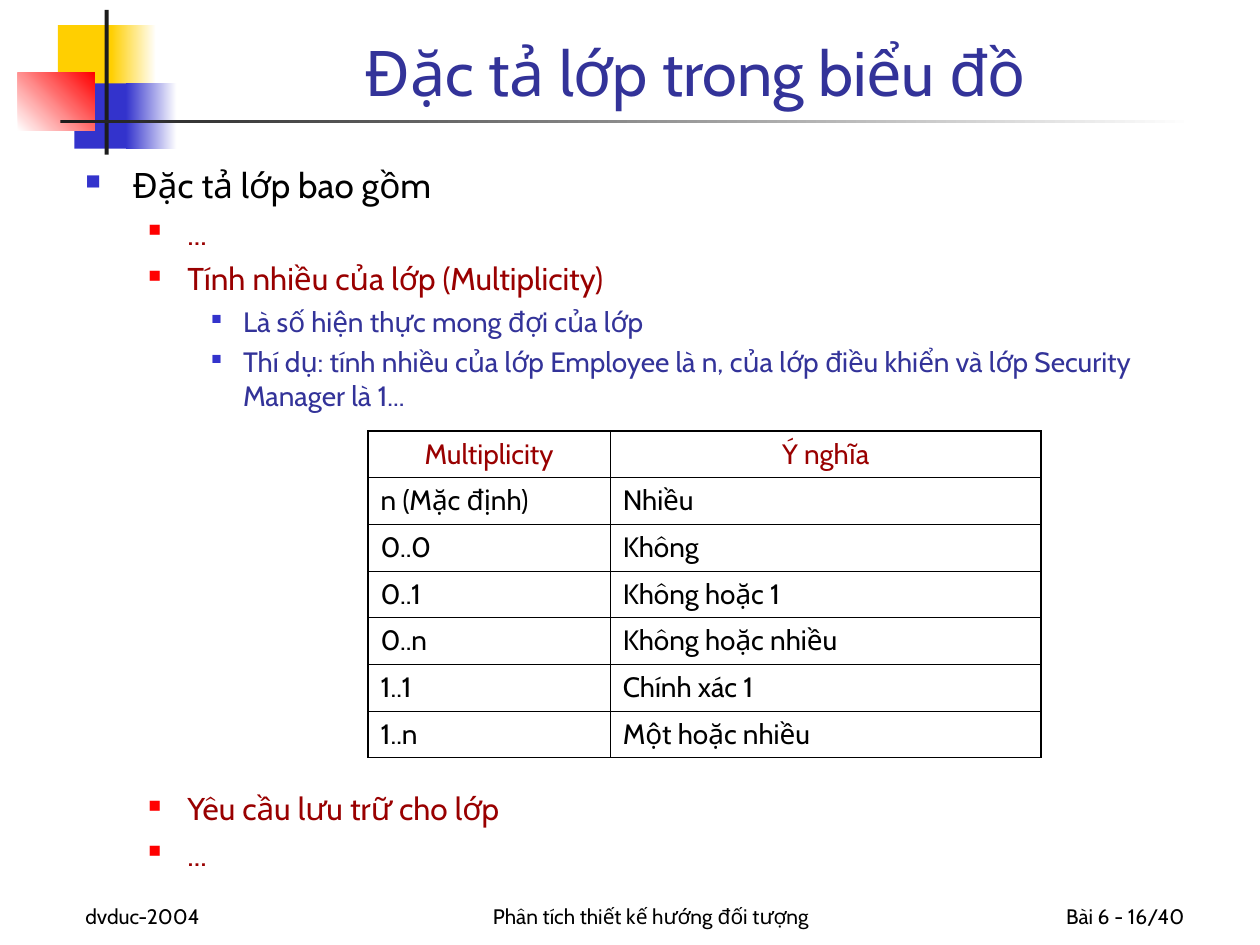
from dataclasses import dataclass
from typing import Any

from lxml import etree
from pptx import Presentation
from pptx import util as u
from pptx.dml.color import RGBColor
from pptx.enum import shapes, text
from pptx.oxml import ns

COLORS = {
    "white": "FFFFFF", "black": "000000", "charcoal": "1C1C1C",
    "yellow": "FFCF01", "blue": "3333CC", "red": "FF0000",
    "navy": "333399", "maroon": "990000",
}
LEFT, CENTER, RIGHT = text.PP_ALIGN.LEFT, text.PP_ALIGN.CENTER, text.PP_ALIGN.RIGHT
TOP, BOTTOM = text.MSO_ANCHOR.TOP, text.MSO_ANCHOR.BOTTOM

LEVELS = [
    dict(size=20, color="black", bullet="blue", scale=60, margin=0.95, hang=0.95, before=5),
    dict(size=18, color="maroon", bullet="red", scale=55, margin=2.06, hang=0.79, before=4.5),
    dict(size=16, color="navy", bullet="blue", scale=50, margin=3.18, hang=0.64, before=4),
]
TABLE_GAP = 215.5

OUTLINE = [
    (0, "Đặc tả lớp bao gồm", 0),
    (1, "...", 0),
    (1, "Tính nhiều của lớp (Multiplicity)", 0),
    (2, "Là số hiện thực mong đợi của lớp", 0),
    (2, "Thí dụ: tính nhiều của lớp Employee là n, của lớp điều khiển và lớp "
        "Security Manager là 1...", 0),
    (1, "Yêu cầu lưu trữ cho lớp", TABLE_GAP),
    (1, "...", 0),
]
MULTIPLICITIES = [
    ("Multiplicity", "Ý nghĩa"),
    ("n (Mặc định)", "Nhiều"),
    ("0..0", "Không"),
    ("0..1", "Không hoặc 1"),
    ("0..n", "Không hoặc nhiều"),
    ("1..1", "Chính xác 1"),
    ("1..n", "Một hoặc nhiều"),
]
ORNAMENTS = [
    ((1.17, 0.51, 1.22, 1.32), "yellow", None, 0),
    ((2.24, 0.51, 0.91, 1.32), "yellow", "white", 0),
    ((1.5, 1.68, 1.17, 1.32), "blue", None, 0),
    ((2.54, 1.68, 1.02, 1.32), "blue", "white", 0),
    ((0.36, 1.47, 1.55, 1.17), "white", "red", 45),
    ((2.11, 0.2, 0.08, 2.92), "charcoal", None, 0),
    ((1.22, 2.41, 22.86, 0.08), "charcoal", "white", 0),
]
FOOTERS = [
    (1.47, 5.28, "dvduc-2004", LEFT),
    (8.26, 9.73, "Phân tích thiết kế hướng đối tượng", CENTER),
    (18.85, 5.28, "Bài 6 - 16/40", RIGHT),
]


def rgb(name):
    return RGBColor.from_string(COLORS[name])


def add_node(parent, tag, **attributes):
    return etree.SubElement(parent, ns.qn(tag), attributes)


def add_color(parent, name):
    add_node(parent, "a:srgbClr", val=COLORS[name])


@dataclass
class SlideWriter:
    page: Any
    font: str = "Cabin"
    thick: float = 1.08
    thin: float = 0.45

    def block(self, place, color, fade_to=None, angle=0):
        box = self.page.shapes.add_shape(shapes.MSO_SHAPE.RECTANGLE, *map(u.Cm, place))
        box.shadow.inherit = False
        box.line.fill.background()
        if fade_to is None:
            box.fill.solid()
            box.fill.fore_color.rgb = rgb(color)
            return
        box.fill.gradient()
        box.fill.gradient_angle = angle
        for stop, position, name in zip(box.fill.gradient_stops, (0, 1), (color, fade_to)):
            stop.position = position
            stop.color.rgb = rgb(name)

    def style(self, para, size, color, align=LEFT):
        para.alignment = align
        para.font.name = self.font
        para.font.size = u.Pt(size)
        para.font.color.rgb = rgb(color)

    def frame(self, place, anchor):
        frame = self.page.shapes.add_textbox(*map(u.Cm, place)).text_frame
        frame.word_wrap = True
        frame.vertical_anchor = anchor
        return frame

    def label(self, place, words, size, color, align):
        para = self.frame(place, BOTTOM).paragraphs[0]
        para.text = words
        self.style(para, size, color, align)

    def bullets(self, place, items):
        frame = self.frame(place, TOP)
        for index, (level, words, gap) in enumerate(items):
            look = LEVELS[level]
            para = frame.add_paragraph() if index else frame.paragraphs[0]
            para.text = words
            para.level = level
            para.space_before = u.Pt(gap or look["before"])
            props = para._p.get_or_add_pPr()
            props.set("marL", str(u.Cm(look["margin"])))
            props.set("indent", str(-u.Cm(look["hang"])))
            add_color(add_node(props, "a:buClr"), look["bullet"])
            add_node(props, "a:buSzPct", val=str(look["scale"] * 1000))
            add_node(props, "a:buChar", char="■")
            self.style(para, look["size"], look["color"])

    def border(self, cell, outer):
        props = cell._tc.get_or_add_tcPr()
        for side in "LRTB":
            width = self.thick if side in outer else self.thin
            line = add_node(props, f"a:ln{side}", w=str(u.Pt(width)))
            add_color(add_node(line, "a:solidFill"), "black")
        cell.fill.background()

    def table(self, left, top, widths, height, rows):
        last_row, last_column = len(rows) - 1, len(widths) - 1
        place = (left, top, sum(widths), height * len(rows))
        grid = self.page.shapes.add_table(len(rows), len(widths), *map(u.Cm, place)).table
        grid.first_row = grid.horz_banding = False
        for column, width in zip(grid.columns, widths):
            column.width = u.Cm(width)
        for r, row in enumerate(rows):
            grid.rows[r].height = u.Cm(height)
            for c, words in enumerate(row):
                cell = grid.cell(r, c)
                edges = {"T": r == 0, "B": r == last_row, "L": c == 0, "R": c == last_column}
                self.border(cell, [side for side, outer in edges.items() if outer])
                para = cell.text_frame.paragraphs[0]
                para.text = words
                para.space_before = u.Pt(4)
                self.style(para, 16, *(("black", LEFT) if r else ("maroon", CENTER)))


def main():
    deck = Presentation()
    deck.slide_width, deck.slide_height = u.Cm(25.4), u.Cm(19.05)
    writer = SlideWriter(deck.slides.add_slide(deck.slide_layouts[6]))
    for ornament in ORNAMENTS:
        writer.block(*ornament)
    for left, width, words, align in FOOTERS:
        writer.label((left, 17.58, width, 1.27), words, 12, "black", align)
    writer.label((3.2, 0.2, 21.64, 2.13), "Đặc tả lớp trong biểu đồ", 36, "navy", CENTER)
    writer.bullets((1.47, 3.18, 23.29, 14.61), OUTLINE)
    writer.table(7.42, 8.69, (4.88, 8.69), 0.94, MULTIPLICITIES)
    deck.save("out.pptx")


if __name__ == "__main__":
    main()
